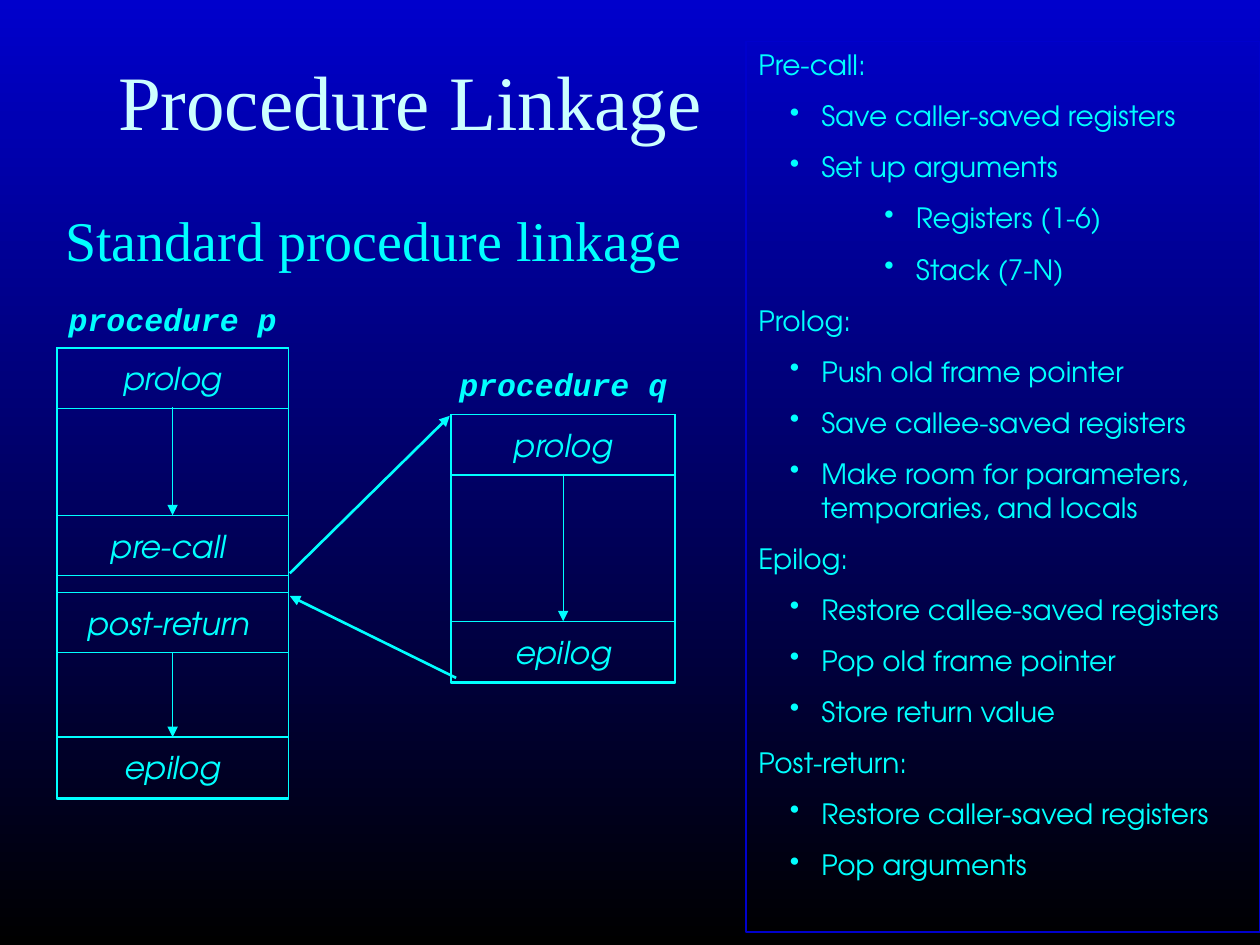
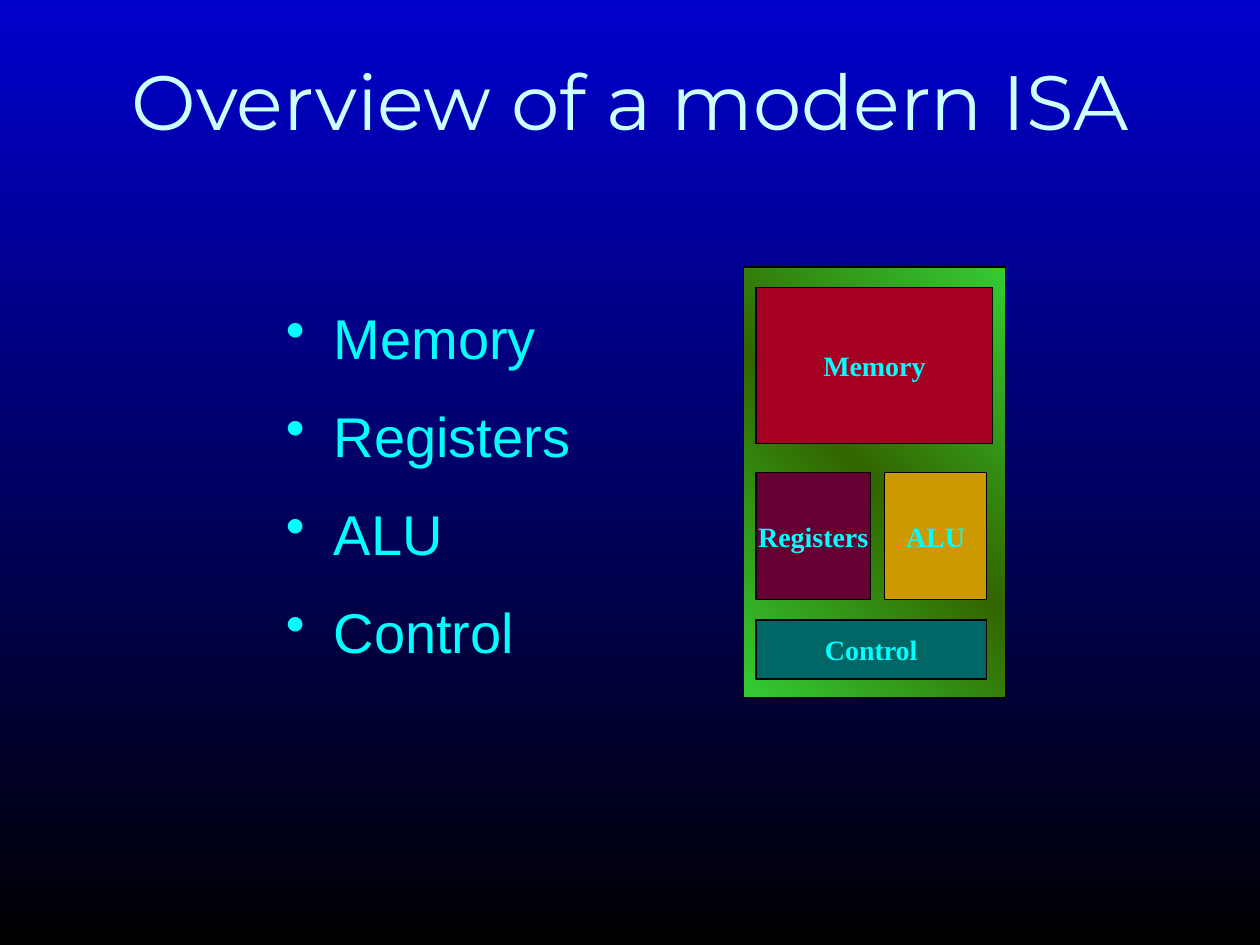
"""Build two lecture slides on procedure linkage and the parts of a modern ISA."""
from copy import deepcopy
from dataclasses import dataclass
from typing import Optional, Sequence

from lxml import etree
from pptx import Presentation
from pptx.dml.color import RGBColor
from pptx.enum.shapes import MSO_CONNECTOR, MSO_SHAPE
from pptx.enum.text import MSO_ANCHOR, MSO_AUTO_SIZE, PP_ALIGN
from pptx.oxml.ns import qn
from pptx.util import Inches, Pt

RECTANGLE = MSO_SHAPE.RECTANGLE
STRAIGHT = MSO_CONNECTOR.STRAIGHT
LEFT, CENTER = PP_ALIGN.LEFT, PP_ALIGN.CENTER
TOP, MIDDLE = MSO_ANCHOR.TOP, MSO_ANCHOR.MIDDLE
NO_FIT = MSO_AUTO_SIZE.NONE

CYAN = RGBColor(0x00, 0xFF, 0xFF)
PALE_CYAN = RGBColor(0xCC, 0xFF, 0xFF)
BLUE = RGBColor(0x00, 0x00, 0xCC)
BLACK = RGBColor(0x00, 0x00, 0x00)
BRIGHT_GREEN = RGBColor(0x33, 0xCC, 0x33)
DARK_GREEN = RGBColor(0x33, 0x66, 0x00)
RED = RGBColor(0xA5, 0x00, 0x21)
PLUM = RGBColor(0x66, 0x00, 0x33)
GOLD = RGBColor(0xCC, 0x99, 0x00)
TEAL = RGBColor(0x00, 0x66, 0x66)

SERIF = "Times New Roman"
SANS = "Arial"
MONO = "Courier New"
GEOMETRIC = "TeX Gyre Adventor"
TITLE_SANS = "Montserrat"

TITLE_ONLY = 5
STAGE_HEIGHT = 0.48


@dataclass(frozen=True)
class Area:
    """A rectangle on the page, in inches."""
    left: float
    top: float
    width: float
    height: float

    def lengths(self) -> tuple:
        """Return the four sides as lengths."""
        return tuple(Inches(side) for side in (self.left, self.top, self.width, self.height))


@dataclass(frozen=True)
class Item:
    """A line of text with the indent of its bullet, if it has one."""
    text: str
    margin: float = 0
    hanging: float = 0


@dataclass(frozen=True)
class Stage:
    """A named step inside a procedure."""
    text: str
    top: float


@dataclass(frozen=True)
class Procedure:
    """A procedure frame, its label and its steps."""
    name: str
    label: Area
    frame: Area
    stages: Sequence[Stage]


@dataclass(frozen=True)
class Arrow:
    """An arrow between two points, in inches."""
    start: tuple
    end: tuple
    weight: float = 0.75


@dataclass(frozen=True)
class Unit:
    """A coloured block of the machine."""
    text: str
    area: Area
    color: RGBColor


PROCEDURES = (
    Procedure("procedure p", Area(0.33, 2.33, 2.08, 0.4), Area(0.45, 2.76, 1.84, 3.58),
              (Stage("prolog", 2.76), Stage("pre-call ", 4.09),
               Stage("post-return ", 4.7), Stage("epilog", 5.85))),
    Procedure("procedure q", Area(3.43, 2.85, 2.08, 0.4), Area(3.58, 3.29, 1.78, 2.13),
              (Stage("prolog", 3.29), Stage("epilog", 4.93))),
)

ARROWS = (
    Arrow((1.37, 3.23), (1.37, 4.09)),
    Arrow((1.37, 5.18), (1.37, 5.85)),
    Arrow((4.47, 3.76), (4.47, 4.93)),
    Arrow((2.3, 4.55), (3.57, 3.3), 1.5),
    Arrow((3.62, 5.38), (2.3, 4.73), 1.5),
)

STEPS = (
    (0, "Pre-call:"),
    (1, "Save caller-saved registers"),
    (1, "Set up arguments"),
    (2, "Registers (1-6)"),
    (2, "Stack (7-N)"),
    (0, "Prolog:"),
    (1, "Push old frame pointer"),
    (1, "Save callee-saved registers"),
    (1, "Make room for parameters, temporaries, and locals"),
    (0, "Epilog:"),
    (1, "Restore callee-saved registers"),
    (1, "Pop old frame pointer"),
    (1, "Store return value"),
    (0, "Post-return:"),
    (1, "Restore caller-saved registers"),
    (1, "Pop arguments"),
)
STEP_INDENTS = ((0, 0), (0.5, 0.25), (1.25, 0.25))

UNITS = (
    Unit("Memory", Area(6, 2.28, 1.88, 1.24), RED),
    Unit("Registers", Area(6, 3.75, 0.91, 1.01), PLUM),
    Unit("ALU", Area(7.02, 3.75, 0.81, 1.01), GOLD),
    Unit("Control", Area(6, 4.92, 1.83, 0.47), TEAL),
)


def add_bullet(para, item: Item, color: RGBColor) -> None:
    """Give a paragraph a hanging round bullet."""
    properties = para._p.get_or_add_pPr()
    properties.set("marL", str(Inches(item.margin)))
    properties.set("indent", str(-Inches(item.hanging)))
    tint = etree.SubElement(properties, qn("a:buClr"))
    etree.SubElement(tint, qn("a:srgbClr")).set("val", str(color))
    etree.SubElement(properties, qn("a:buChar")).set("char", "•")


def write(shape, items: Sequence[Item], *, size: float, font: str, color: RGBColor = CYAN,
          bold: bool = False, italic: bool = False, align=LEFT, anchor=TOP, wrap: bool = True,
          before: float = 0, spacing: Optional[float] = None) -> None:
    """Fill a shape with formatted paragraphs."""
    frame = shape.text_frame
    frame.auto_size = NO_FIT
    frame.word_wrap = wrap
    frame.vertical_anchor = anchor
    for index, item in enumerate(items):
        para = frame.add_paragraph() if index else frame.paragraphs[0]
        if item.margin:
            add_bullet(para, item, color)
        para.alignment = align
        para.space_before = Pt(before if index else 0)
        if spacing:
            para.line_spacing = spacing
        span = para.add_run()
        span.text = item.text
        span.font.size = Pt(size)
        span.font.name = font
        span.font.bold = bold
        span.font.italic = italic
        span.font.color.rgb = color


def add_page(deck, title: str, area: Area, font: str):
    """Add a page with a formatted title."""
    page = deck.slides.add_slide(deck.slide_layouts[TITLE_ONLY])
    heading = page.shapes.title
    heading.left, heading.top, heading.width, heading.height = area.lengths()
    write(heading, [Item(title)], size=44, font=font, color=PALE_CYAN, align=CENTER, anchor=MIDDLE)
    return page


def add_text(page, area: Area, items: Sequence[Item], **style) -> None:
    """Add a text box."""
    write(page.shapes.add_textbox(*area.lengths()), items, **style)


def add_box(page, area: Area, line: RGBColor, weight: float = 0.75,
            fill: Optional[RGBColor] = None):
    """Add an outlined rectangle."""
    box = page.shapes.add_shape(RECTANGLE, *area.lengths())
    box.shadow.inherit = False
    box.line.color.rgb = line
    box.line.width = Pt(weight)
    if fill is None:
        box.fill.background()
    else:
        box.fill.solid()
        box.fill.fore_color.rgb = fill
    return box


def add_arrow(page, arrow: Arrow) -> None:
    """Add a straight arrow."""
    points = (Inches(value) for value in (*arrow.start, *arrow.end))
    connector = page.shapes.add_connector(STRAIGHT, *points)
    connector.line.color.rgb = CYAN
    connector.line.width = Pt(arrow.weight)
    line = connector.line._get_or_add_ln()
    etree.SubElement(line, qn("a:tailEnd")).set("type", "triangle")
    etree.SubElement(connector._element.spPr, qn("a:effectLst"))


def color_stops(fill, colors: Sequence[RGBColor], angle: float) -> None:
    """Spread colours evenly over a gradient fill."""
    fill.gradient_angle = angle
    for index, (stop, color) in enumerate(zip(fill.gradient_stops, colors)):
        stop.position = index / (len(colors) - 1)
        stop.color.rgb = color


def draw_procedure(page, procedure: Procedure) -> None:
    """Draw a labelled procedure with its steps."""
    add_text(page, procedure.label, [Item(procedure.name)], size=18, font=MONO,
             bold=True, italic=True, align=CENTER)
    frame = procedure.frame
    add_box(page, frame, CYAN, 1)
    for stage in procedure.stages:
        area = Area(frame.left, stage.top, frame.width, STAGE_HEIGHT)
        write(add_box(page, area, CYAN), [Item(stage.text)], size=18, font=GEOMETRIC,
              italic=True, align=CENTER, anchor=MIDDLE, wrap=False)


def build_linkage(deck) -> None:
    """Build the procedure linkage page."""
    page = add_page(deck, "Procedure Linkage", Area(0.42, 0.17, 5.67, 1.25), SERIF)
    add_text(page, Area(0.42, 1.58, 9.17, 5.33), [Item("Standard procedure linkage")],
             size=32, font=SERIF)
    for procedure in PROCEDURES:
        draw_procedure(page, procedure)
    for arrow in ARROWS:
        add_arrow(page, arrow)
    steps = [Item(text, *STEP_INDENTS[level]) for level, text in STEPS]
    panel = add_box(page, Area(5.92, 0.33, 4.08, 7.07), BLUE, 1)
    write(panel, steps, size=16, font=GEOMETRIC, before=10)


def build_overview(deck) -> None:
    """Build the machine overview page."""
    page = add_page(deck, "Overview of a modern ISA", Area(0.42, 0.17, 9.17, 1.25), TITLE_SANS)
    add_text(page, Area(2.17, 2.25, 7.42, 4.67), [Item(unit.text, 0.38, 0.38) for unit in UNITS],
             size=32, font=SANS, before=10, spacing=1.2)
    machine = add_box(page, Area(5.9, 2.12, 2.08, 3.42), BLACK)
    machine.fill.gradient()
    stops = machine._element.spPr.find(qn("a:gradFill")).find(qn("a:gsLst"))
    stops.append(deepcopy(stops[0]))
    color_stops(machine.fill, (BRIGHT_GREEN, DARK_GREEN, BRIGHT_GREEN), 45)
    for unit in UNITS:
        write(add_box(page, unit.area, BLACK, fill=unit.color), [Item(unit.text)], size=16,
              font=SERIF, bold=True, align=CENTER, anchor=MIDDLE, wrap=False)


def main() -> None:
    """Build and save the deck."""
    deck = Presentation()
    deck.slide_width, deck.slide_height = Inches(10), Inches(7.5)
    backdrop = deck.slide_master.background.fill
    backdrop.gradient()
    color_stops(backdrop, (BLUE, BLACK), 270)
    build_linkage(deck)
    build_overview(deck)
    deck.save("out.pptx")


if __name__ == "__main__":
    main()
